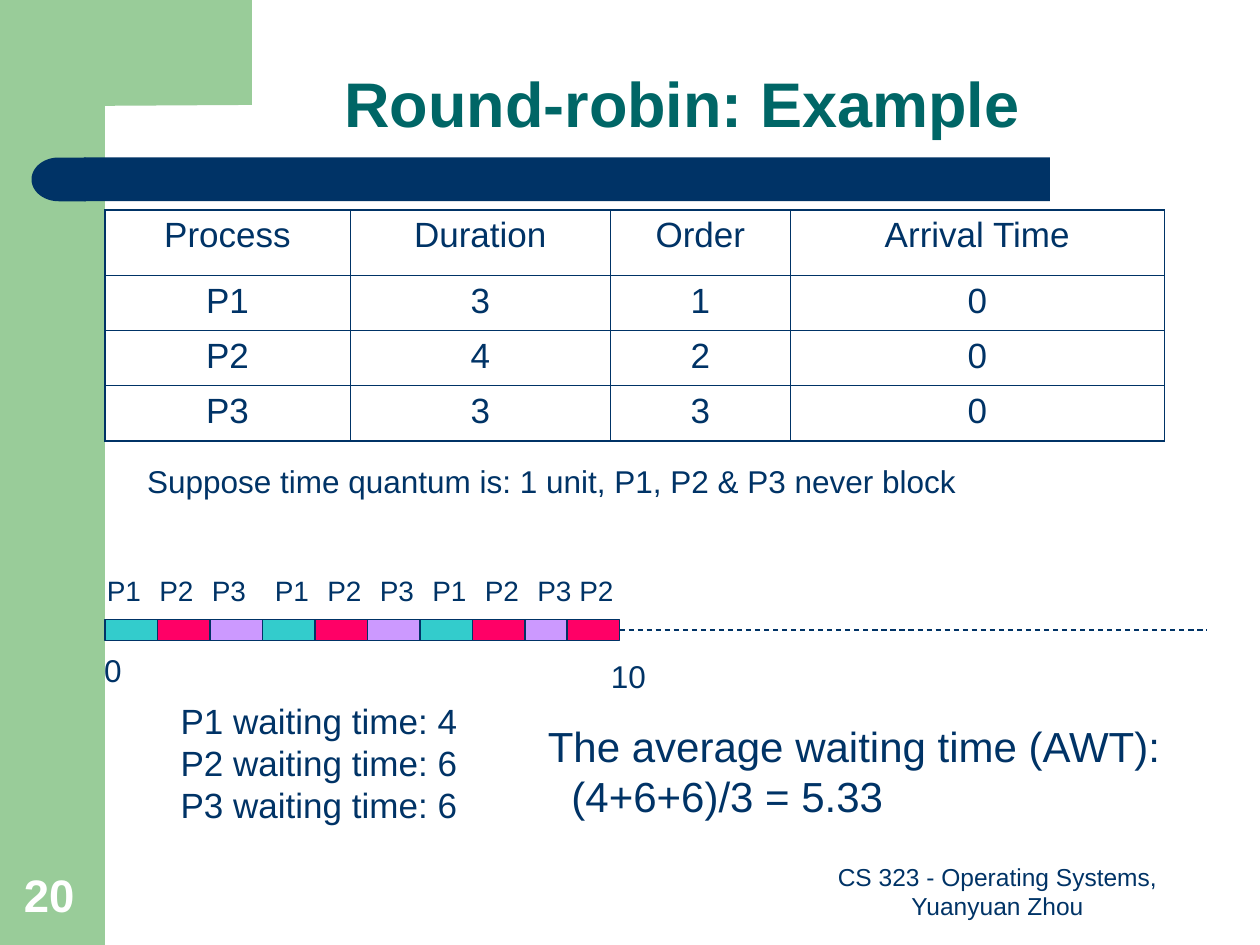
from dataclasses import dataclass
from lxml import etree
from pptx import Presentation
from pptx.dml.color import RGBColor
from pptx.enum.dml import MSO_LINE
from pptx.enum.shapes import MSO_CONNECTOR, MSO_SHAPE
from pptx.enum.text import MSO_ANCHOR, MSO_AUTO_SIZE, PP_ALIGN
from pptx.oxml.ns import qn
from pptx.util import Pt

RECT = MSO_SHAPE.RECTANGLE
ROUND = MSO_SHAPE.ROUNDED_RECTANGLE
DELAY = MSO_SHAPE.FLOWCHART_DELAY
LINE = MSO_CONNECTOR.STRAIGHT
DASH = MSO_LINE.DASH
TOP, LOW = MSO_ANCHOR.TOP, MSO_ANCHOR.BOTTOM
FIXED, GROW = MSO_AUTO_SIZE.NONE, MSO_AUTO_SIZE.SHAPE_TO_FIT_TEXT
LEFT, MID = PP_ALIGN.LEFT, PP_ALIGN.CENTER


@dataclass(frozen=True)
class Theme:
    font: str = "Arial"
    navy: str = "003366"
    teal: str = "006666"
    green: str = "99CC99"
    white: str = "FFFFFF"
    aqua: str = "33CCCC"
    pink: str = "FF0066"
    lilac: str = "CC99FF"
    title: int = 36
    number: int = 26
    result: int = 24
    body: int = 20
    note: int = 18
    tag: int = 16
    foot: int = 14
    thin: float = 0.45
    line: float = 0.75
    thick: float = 1.08


THEME = Theme()
HUES = {"P1": THEME.aqua, "P2": THEME.pink, "P3": THEME.lilac}


def color(code):
    return RGBColor.from_string(code)


def place(shape, box):
    shape.left, shape.top, shape.width, shape.height = map(Pt, box)


def write(frame, lines, size, hue=THEME.navy, bold=False, align=LEFT):
    for row, text in enumerate(lines):
        para = frame.paragraphs[0] if row == 0 else frame.add_paragraph()
        para.alignment = align
        para.space_before = Pt(0)
        run = para.add_run()
        run.text = text
        run.font.name = THEME.font
        run.font.size = Pt(size)
        run.font.bold = bold
        run.font.color.rgb = color(hue)


def label(slide, box, lines, size):
    shape = slide.shapes.add_textbox(*map(Pt, box))
    frame = shape.text_frame
    frame.word_wrap = False
    frame.auto_size = GROW
    write(frame, lines, size)
    return frame


def paint(shape, hue, edge=None):
    shape.shadow.inherit = False
    shape.fill.solid()
    shape.fill.fore_color.rgb = color(hue)
    if edge:
        shape.line.color.rgb = color(edge)
        shape.line.width = Pt(THEME.line)
    else:
        shape.line.fill.background()


def block(slide, kind, box, hue, edge=None):
    shape = slide.shapes.add_shape(kind, *map(Pt, box))
    paint(shape, hue, edge)
    return shape


def frame_art(slide, box):
    x, y, width, height = box
    block(slide, RECT, (x, y, 60, height), THEME.green)
    points = [(144, 0), (144, 60), (60, 60.5), (55.5, 61), (51, 66),
              (49, 75), (48, 84), (48, 92), (36, 92)]
    pen = slide.shapes.build_freeform(Pt(x + 36), Pt(y))
    pen.add_line_segments([(Pt(x + dx), Pt(y + dy)) for dx, dy in points])
    paint(pen.convert_to_shape(), THEME.green)
    bar = block(slide, ROUND, (x + 48, y + 90, 552, 25), THEME.navy)
    bar.adjustments[0] = 0
    cap = block(slide, DELAY, (x + 18, y + 90, 31, 25), THEME.navy)
    cap.rotation = 180


def heading(slide, box):
    shape = slide.shapes.title
    place(shape, box)
    frame = shape.text_frame
    frame.auto_size = FIXED
    frame.vertical_anchor = LOW
    write(frame, ["Round-robin: Example"], THEME.title, THEME.teal, True, MID)
    frame.paragraphs[0].line_spacing = 0.9


def edge(cell, side, width):
    line = etree.SubElement(cell._tc.get_or_add_tcPr(), qn(f"a:ln{side}"),
                            w=str(Pt(width)))
    fill = etree.SubElement(line, qn("a:solidFill"))
    etree.SubElement(fill, qn("a:srgbClr"), val=THEME.navy)


def job_table(slide, box):
    rows = [("Process", "Duration", "Order", "Arrival Time"),
            ("P1", "3", "1", "0"),
            ("P2", "4", "2", "0"),
            ("P3", "3", "3", "0")]
    last = len(rows) - 1
    table = slide.shapes.add_table(4, 4, *map(Pt, box)).table
    table.first_row = table.horz_banding = False
    for col, width in zip(table.columns, (140, 149, 102.5, 214)):
        col.width = Pt(width)
    for r, row in enumerate(rows):
        table.rows[r].height = Pt(31.5 if r else 37.5)
        for c, text in enumerate(row):
            cell = table.cell(r, c)
            write(cell.text_frame, [text], THEME.body, align=MID)
            cell.text_frame.paragraphs[0].space_before = Pt(5)
            outer = {"L": c == 0, "R": c == last, "T": r == 0, "B": r == last}
            for side, rim in outer.items():
                edge(cell, side, THEME.thick if rim else THEME.thin)
            cell.fill.background()


def time_line(slide, box):
    x, y, width, height = box
    mid = y + 36
    axis = slide.shapes.add_connector(
        LINE, Pt(x), Pt(mid), Pt(x + width), Pt(mid))
    axis.line.color.rgb = color(THEME.navy)
    axis.line.width = Pt(THEME.line)
    axis.line.dash_style = DASH
    etree.SubElement(axis._element.spPr, qn("a:effectLst"))
    jobs = ["P1", "P2", "P3"] * 3 + ["P2"]
    for step, job in enumerate(jobs):
        left = x + min(30 * step, 264)
        block(slide, RECT, (left, mid - 6, 30, 12), HUES[job], THEME.navy)
        shift = 6 if step < 3 else 0
        label(slide, (left - shift, y, 34, 26.5), [job], THEME.tag)
    label(slide, (x - 7.5, y + 44.5, 24.5, 29), ["0"], THEME.note)
    label(slide, (x + 282, y + 48, 34.5, 29), ["10"], THEME.note)


def wait_list(slide, box):
    shape = slide.placeholders[1]
    place(shape, box)
    frame = shape.text_frame
    frame.word_wrap = False
    frame.auto_size = GROW
    frame.vertical_anchor = TOP
    waits = {"P1": 4, "P2": 6, "P3": 6}
    write(frame, [f"{job} waiting time: {time}" for job, time in waits.items()],
          THEME.body)
    for para in frame.paragraphs:
        prop = para._p.get_or_add_pPr()
        prop.set("marL", "0")
        prop.set("indent", "0")
        etree.SubElement(prop, qn("a:buNone"))


def result(slide, box):
    lines = ["The average waiting time (AWT):", "(4+6+6)/3 = 5.33"]
    frame = label(slide, box, lines, THEME.result)
    frame.paragraphs[1]._p.get_or_add_pPr().set("marL", str(Pt(13.5)))


def footer(slide, box, text, size, hue, bold, align):
    frame = slide.shapes.add_textbox(*map(Pt, box)).text_frame
    frame.word_wrap = True
    frame.vertical_anchor = LOW
    write(frame, [text], size, hue, bold, align)


def main():
    deck = Presentation()
    deck.slide_width, deck.slide_height = Pt(720), Pt(540)
    slide = deck.slides.add_slide(deck.slide_layouts[1])
    frame_art(slide, (0, 0, 720, 540))
    heading(slide, (83.5, 6, 612.5, 78))
    job_table(slide, (60, 120, 605.5, 132))
    label(slide, (77, 260.5, 476.5, 29),
          ["Suppose time quantum is: 1 unit, P1, P2 & P3 never block"],
          THEME.note)
    time_line(slide, (60, 324, 630, 77))
    wait_list(slide, (96, 396, 178, 79))
    result(slide, (306, 408, 371.5, 65))
    footer(slide, (456, 492, 228, 37.5),
           "CS 323 - Operating Systems, Yuanyuan Zhou",
           THEME.foot, THEME.navy, False, MID)
    footer(slide, (6.5, 492, 46, 38), "20",
           THEME.number, THEME.white, True, LEFT)
    deck.save("out.pptx")


if __name__ == "__main__":
    main()
